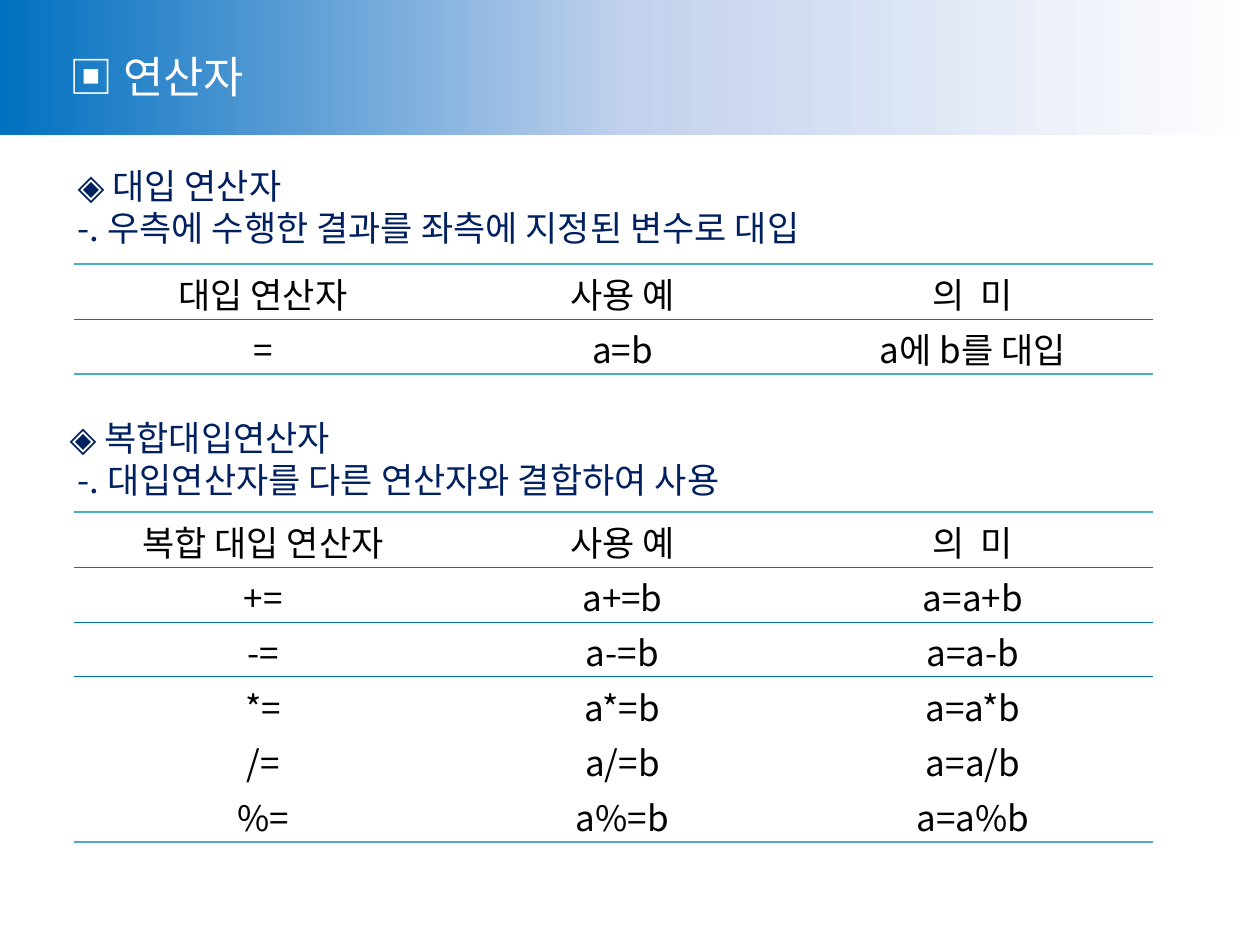
from dataclasses import dataclass

from lxml.etree import SubElement
from pptx import Presentation
from pptx.dml.color import RGBColor
from pptx.enum.shapes import MSO_SHAPE as Shape
from pptx.enum.text import MSO_ANCHOR as Anchor, MSO_AUTO_SIZE as AutoSize, PP_ALIGN as Align
from pptx.oxml.ns import qn
from pptx.util import Pt

SCALE = 914400 / 126


@dataclass(frozen=True)
class Theme:
    """Colours, font and type sizes of the slide."""
    font: str = "Noto Sans CJK KR"
    title_size: int = 25
    text_size: int = 20
    leading: float = 1.2
    white: str = "FFFFFF"
    navy: str = "002060"
    black: str = "000000"
    blue: str = "0070C0"
    pale: str = "C2D1ED"
    teal: str = "4BACC6"


THEME = Theme()
OUTER = (THEME.teal, 1)
INNER = (THEME.blue, 0.5)
NO_GRID_STYLE = "{2D5ABB26-0587-4C30-8999-92F81FD0307C}"
COLUMNS = (378, 341, 360)
ROW_HEIGHT = 55
ASSIGN_ROWS = [
    ("대입 연산자", "사용 예", "의  미"),
    ("=", "a=b", "a에 b를 대입"),
]
COMPOUND_ROWS = [("복합 대입 연산자", "사용 예", "의  미")] + [
    (f"{sign}=", f"a{sign}=b", f"a=a{sign}b") for sign in "+-*/%"
]
BODY_LINES = [
    ("◈ 대입 연산자", 8, 0),
    ("-. 우측에 수행한 결과를 좌측에 지정된 변수로 대입", 8, 0),
    ("◈ 복합대입연산자", 0, 96),
    ("-. 대입연산자를 다른 연산자와 결합하여 사용", 8, 0),
]


def px(length):
    """Turn pixels into EMU."""
    return round(length * SCALE)


def add_span(para, text, size, color):
    """Add one formatted run to a paragraph."""
    span = para.add_run()
    span.text = text
    span.font.size = Pt(size)
    span.font.name = THEME.font
    span.font.color.rgb = RGBColor.from_string(color)
    SubElement(span.font._element, qn("a:ea"), typeface=THEME.font)


def place_box(box, left, top, width, height, wrap):
    """Move a placeholder and return its prepared text frame."""
    box.left, box.top, box.width, box.height = map(px, (left, top, width, height))
    frame = box.text_frame
    frame.auto_size = AutoSize.NONE
    frame.word_wrap = wrap
    frame.vertical_anchor = Anchor.TOP
    return frame


def add_line(para, text, size, color, indent=0, before=0):
    """Fill a paragraph as one unbulleted line."""
    props = para._p.get_or_add_pPr()
    props.set("marL", str(px(indent)))
    props.set("indent", "0")
    SubElement(props, qn("a:buNone"))
    para.alignment = Align.LEFT
    para.line_spacing = Pt(size * THEME.leading)
    para.space_before = Pt(before)
    add_span(para, text, size, color)


def add_band(page):
    """Draw the gradient band behind the title."""
    band = page.shapes.add_shape(Shape.RECTANGLE, 0, 0, px(1260), px(135))
    band.shadow.inherit = False
    band.line.fill.background()
    band.fill.gradient()
    band.fill.gradient_angle = 0
    stops = band._element.spPr.find(qn("a:gradFill")).find(qn("a:gsLst"))
    for stop in list(stops):
        stops.remove(stop)
    for percent, color in ((0, THEME.blue), (50, THEME.pale), (100, THEME.white)):
        stop = SubElement(stops, qn("a:gs"), pos=str(percent * 1000))
        SubElement(stop, qn("a:srgbClr"), val=color)
    page.shapes._spTree.insert(2, band._element)


def set_border(cell, side, style):
    """Add one solid border to a cell."""
    color, width = style
    line = SubElement(cell._tc.get_or_add_tcPr(), qn(f"a:{side}"), w=str(Pt(width)))
    fill = SubElement(line, qn("a:solidFill"))
    SubElement(fill, qn("a:srgbClr"), val=color)


def fill_cell(cell, text, top, bottom):
    """Write a centred cell with its horizontal borders."""
    cell.margin_top = cell.margin_bottom = 0
    cell.vertical_anchor = Anchor.BOTTOM
    para = cell.text_frame.paragraphs[0]
    para.alignment = Align.CENTER
    add_span(para, text, THEME.text_size, THEME.black)
    for side, style in (("lnT", top), ("lnB", bottom)):
        if style:
            set_border(cell, side, style)
    cell.fill.background()


def add_operator_table(page, top, rows):
    """Add a ruled table with lines around its first two rows and its end."""
    rules = [OUTER, INNER, INNER] + [None] * (len(rows) - 2)
    rules[len(rows)] = OUTER
    frame = page.shapes.add_table(
        len(rows), len(COLUMNS), px(74), px(top), px(sum(COLUMNS)), px(ROW_HEIGHT * len(rows))
    )
    table = frame.table
    table.first_row = table.horz_banding = False
    table._tbl.tblPr.find(qn("a:tableStyleId")).text = NO_GRID_STYLE
    for column, width in zip(table.columns, COLUMNS):
        column.width = px(width)
    for r, texts in enumerate(rows):
        table.rows[r].height = px(ROW_HEIGHT)
        for c, text in enumerate(texts):
            fill_cell(table.cell(r, c), text, rules[r], rules[r + 1])


def main():
    """Build and save the slide."""
    deck = Presentation()
    deck.slide_width, deck.slide_height = px(1260), px(945)
    page = deck.slides.add_slide(deck.slide_layouts[1])
    add_band(page)
    title = place_box(page.shapes.title, 57, 43, 218, 66, False)
    add_line(title.paragraphs[0], "▣ 연산자", THEME.title_size, THEME.white)
    body = place_box(page.placeholders[1], 57, 158, 1139, 394, True)
    for number, (text, indent, before) in enumerate(BODY_LINES):
        para = body.add_paragraph() if number else body.paragraphs[0]
        add_line(para, text, THEME.text_size, THEME.navy, indent, before)
    add_operator_table(page, 512, COMPOUND_ROWS)
    add_operator_table(page, 264, ASSIGN_ROWS)
    deck.save("out.pptx")


if __name__ == "__main__":
    main()
